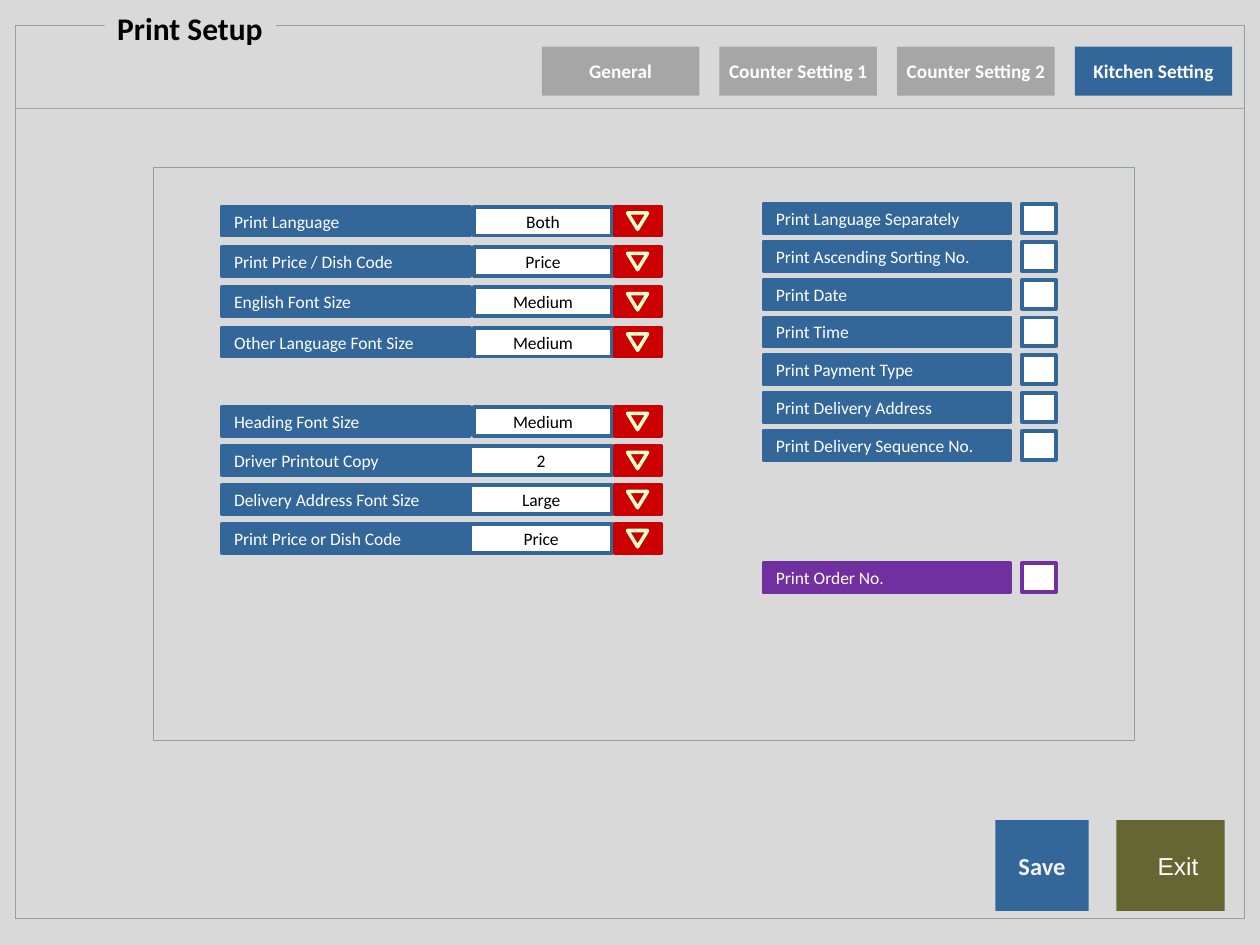
from lxml.etree import SubElement
from pptx import Presentation
from pptx.dml.color import RGBColor
from pptx.enum.shapes import MSO_CONNECTOR, MSO_SHAPE
from pptx.enum.text import MSO_ANCHOR, MSO_AUTO_SIZE, PP_ALIGN
from pptx.oxml.ns import qn
from pptx.util import Inches, Pt

BLUE, RED, PURPLE, OLIVE = "336699", "CC0000", "7030A0", "666633"
GREY, PALE_GREY, WHITE, BLACK = "A6A6A6", "D9D9D9", "FFFFFF", "000000"
FRAME, CREAM = "89A4A7", "FFFFCC"
ROW_HEIGHT = 0.23

TABS = ["General", "Counter Setting 1", "Counter Setting 2", "Kitchen Setting"]
KITCHEN_FIELDS = [
    ("Print Language", "Both"),
    ("Print Price / Dish Code", "Price"),
    ("English Font Size", "Medium"),
    ("Other Language Font Size", "Medium"),
]
HEADING_FIELDS = [("Heading Font Size", "Medium")]
DELIVERY_FIELDS = [
    ("Driver Printout Copy", "2"),
    ("Delivery Address Font Size", "Large"),
    ("Print Price or Dish Code", "Price"),
]
PRINT_OPTIONS = [
    "Print Language Separately",
    "Print Ascending Sorting No.",
    "Print Date",
    "Print Time",
    "Print Payment Type",
    "Print Delivery Address",
    "Print Delivery Sequence No.",
]


def paint(color_format, color):
    color_format.rgb = RGBColor.from_string(color)


def add_box(parent, left, top, width, height, fill=None, line=None,
            line_width=2.25, kind=MSO_SHAPE.RECTANGLE):
    box = parent.shapes.add_shape(
        kind, Inches(left), Inches(top), Inches(width), Inches(height))
    box.shadow.inherit = False
    if fill:
        box.fill.solid()
        paint(box.fill.fore_color, fill)
    else:
        box.fill.background()
    if line:
        paint(box.line.color, line)
        box.line.width = Pt(line_width)
    else:
        box.line.fill.background()
    return box


def write(box, text, size, color=WHITE, bold=False, font="Calibri",
          align=PP_ALIGN.CENTER, anchor=MSO_ANCHOR.MIDDLE):
    frame = box.text_frame
    frame.text = text
    frame.word_wrap = False
    frame.auto_size = MSO_AUTO_SIZE.NONE
    frame.vertical_anchor = anchor
    para = frame.paragraphs[0]
    para.alignment = align
    for span in para.runs:
        span.font.name = font
        span.font.size = Pt(size)
        span.font.bold = bold
        paint(span.font.color, color)


def add_window(page, left, top, width, height):
    add_box(page, left, top, width, height, line=FRAME, line_width=0.5)
    divider_top = Inches(top + 0.66)
    divider = page.shapes.add_connector(
        MSO_CONNECTOR.STRAIGHT, Inches(left), divider_top,
        Inches(left + width), divider_top)
    paint(divider.line.color, GREY)
    divider.line.width = Pt(0.75)
    SubElement(divider._element.spPr, qn("a:effectLst"))


def place_title(page, left, top, width, height):
    title = page.shapes.title
    title.left, title.top = Inches(left), Inches(top)
    title.width, title.height = Inches(width), Inches(height)
    title.fill.solid()
    paint(title.fill.fore_color, PALE_GREY)
    write(title, "Print Setup", 18, BLACK, True,
          align=PP_ALIGN.LEFT, anchor=MSO_ANCHOR.TOP)
    page.shapes._spTree.append(title._element)


def add_tabs(page, left, top, width, height, pitch):
    for index, name in enumerate(TABS):
        fill = BLUE if name == "Kitchen Setting" else GREY
        tab = add_box(page, left + index * pitch, top, width, height, fill)
        write(tab, name, 11, bold=True)


def add_label(page, left, top, width, text, color=BLUE):
    label = add_box(page, left, top, width, ROW_HEIGHT, color, color)
    write(label, text, 10, align=PP_ALIGN.LEFT)


def add_dropdown_button(page, left, top):
    button = page.shapes.add_group_shape()
    add_box(button, left, top, 0.37, ROW_HEIGHT, RED, RED)
    arrow = add_box(button, left + 0.1, top + 0.05, 0.16, 0.13, RED, CREAM, 2,
                    MSO_SHAPE.ISOSCELES_TRIANGLE)
    arrow.rotation = 180


def add_dropdowns(page, left, top, pitch, value_left, fields):
    for index, (name, choice) in enumerate(fields):
        row_top = top + index * pitch
        value = add_box(page, value_left, row_top, left + 3.1 - value_left,
                        ROW_HEIGHT, WHITE, BLUE)
        write(value, choice, 10, BLACK)
        add_label(page, left, row_top, 1.97, name)
        add_dropdown_button(page, left + 3.12, row_top)


def add_checkboxes(page, left, top, pitch, options, color=BLUE):
    for index, name in enumerate(options):
        row_top = top + index * pitch
        add_label(page, left, row_top, 1.96, name, color)
        add_box(page, left + 2.05, row_top, 0.27, ROW_HEIGHT, WHITE, color)


def add_actions(page, left, top, width, height):
    save = add_box(page, left, top, width, height, BLUE)
    write(save, "Save", 14, "F2F2F2", True)
    add_box(page, left + 0.96, top, width, height, OLIVE)
    leave = add_box(page, left + 1.08, top, width, height, OLIVE)
    write(leave, "Exit", 14, font="Arial")


def main():
    deck = Presentation()
    deck.slide_width, deck.slide_height = Inches(10), Inches(7.5)
    page = deck.slides.add_slide(deck.slide_layouts[5])
    add_box(page, 0, 0, 10, 7.5, PALE_GREY)
    add_window(page, 0.12, 0.2, 9.76, 7.09)
    place_title(page, 0.83, 0.02, 1.36, 0.4)
    add_tabs(page, 4.3, 0.37, 1.25, 0.39, 1.41)
    add_box(page, 1.22, 1.33, 7.78, 4.55, line=FRAME, line_width=0.5)
    add_dropdowns(page, 1.76, 1.64, 0.32, 3.76, KITCHEN_FIELDS)
    add_dropdowns(page, 1.76, 3.23, 0.31, 3.76, HEADING_FIELDS)
    add_dropdowns(page, 1.76, 3.54, 0.31, 3.73, DELIVERY_FIELDS)
    add_checkboxes(page, 6.06, 1.62, 0.3, PRINT_OPTIONS)
    add_checkboxes(page, 6.06, 4.47, 0.3, ["Print Order No."], PURPLE)
    add_actions(page, 7.9, 6.51, 0.74, 0.72)
    deck.save("out.pptx")


if __name__ == "__main__":
    main()
